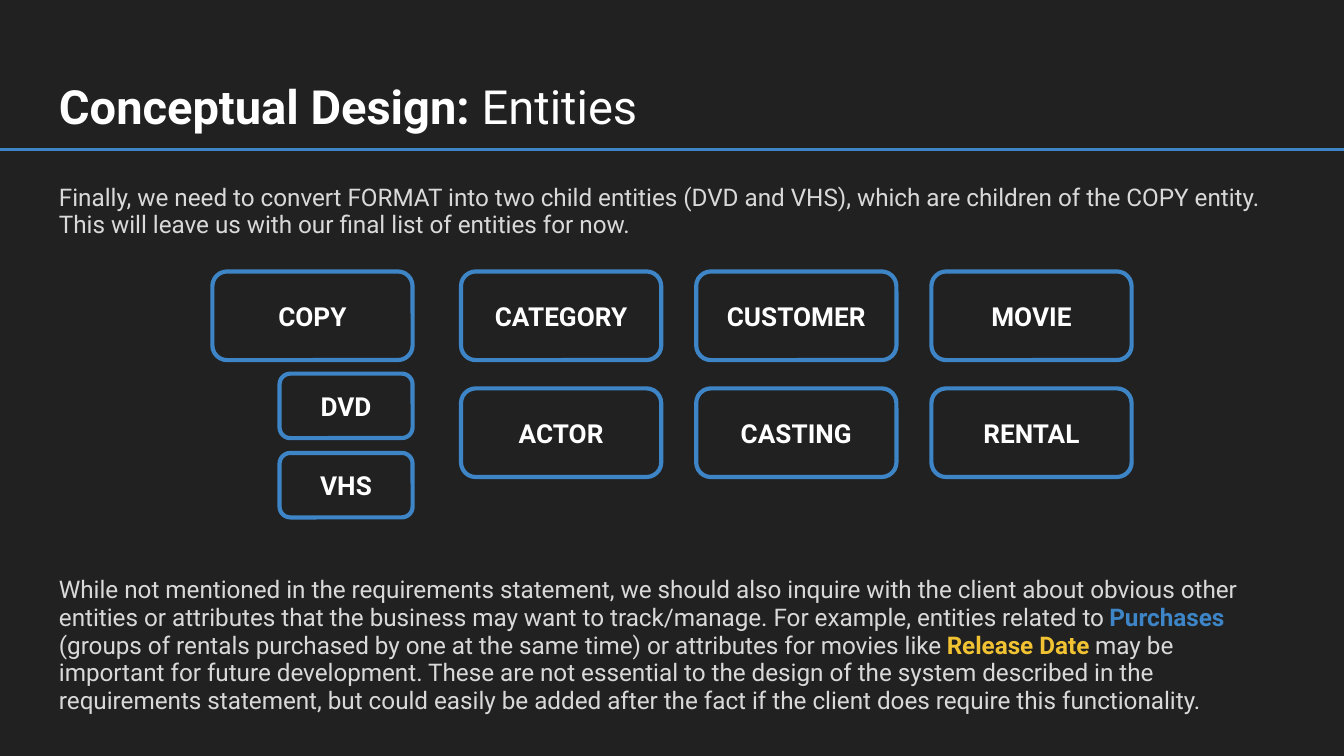
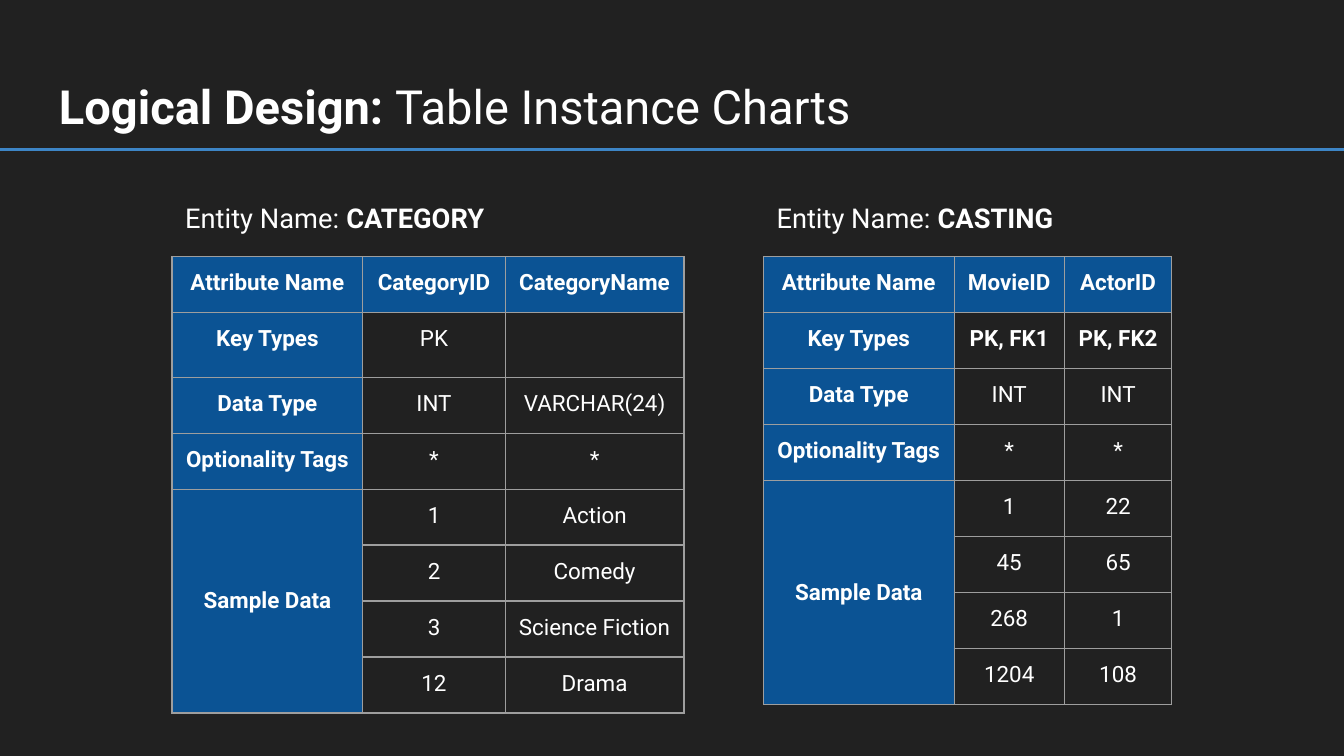
from dataclasses import dataclass
from typing import Any, NamedTuple

from lxml import etree
from pptx import Presentation
from pptx.dml.color import RGBColor
from pptx.enum import shapes, text
from pptx.oxml import ns
from pptx.util import Inches, Pt

BACKGROUND = RGBColor(0x21, 0x21, 0x21)
WHITE = RGBColor(0xFF, 0xFF, 0xFF)
BODY_GRAY = RGBColor(0xD9, 0xD9, 0xD9)
ACCENT_BLUE = RGBColor(0x3D, 0x85, 0xC6)
HEADER_BLUE = RGBColor(0x0B, 0x53, 0x94)
GOLD = RGBColor(0xF1, 0xC2, 0x32)
BORDER_GRAY = RGBColor(0x9E, 0x9E, 0x9E)

FONT = "Roboto"
SLIDE_WIDTH = 10
SLIDE_HEIGHT = SLIDE_WIDTH * 9 / 16
LEFT, CONTENT_WIDTH = 0.34, 9.31
RULE_TOP = 1.11
INSET = Inches(0.1)
ROW_HEIGHT = 5 / 12
EMPTY_ROW_HEIGHT = 0.48
SAMPLE_ROW = 4


class Run(NamedTuple):
    """A stretch of text with its own weight and, if given, colour."""

    text: str
    bold: bool = False
    color: RGBColor | None = None


class Box(NamedTuple):
    """A rectangle in inches."""

    left: float
    top: float
    width: float
    height: float


@dataclass(frozen=True)
class Entity:
    """A named entity and the place of its box."""

    name: str
    box: Box


@dataclass(frozen=True)
class InstanceChart:
    """A table instance chart with its heading."""

    entity: str
    left: float
    heading_width: float
    column_widths: tuple[float, ...]
    rows: tuple[tuple[str, ...], ...]
    bold_rows: tuple[int, ...] = (0,)


ENTITY_WIDTH, ENTITY_HEIGHT = 1.49, 0.66
ENTITY_TOP, ENTITY_ROW_STEP = 2.02, 0.87
GRID_LEFT, GRID_STEP = 3.43, 1.75
ENTITY_GRID = (("CATEGORY", "CUSTOMER", "MOVIE"), ("ACTOR", "CASTING", "RENTAL"))
CHILD_TOP, CHILD_STEP = 2.78, 0.59

ENTITIES = [
    Entity("COPY", Box(1.58, ENTITY_TOP, ENTITY_WIDTH, ENTITY_HEIGHT)),
    *(
        Entity(name, Box(2.08, CHILD_TOP + index * CHILD_STEP, 0.99, 0.48))
        for index, name in enumerate(("DVD", "VHS"))
    ),
    *(
        Entity(name, Box(GRID_LEFT + column * GRID_STEP, ENTITY_TOP + row * ENTITY_ROW_STEP,
                         ENTITY_WIDTH, ENTITY_HEIGHT))
        for row, names in enumerate(ENTITY_GRID)
        for column, name in enumerate(names)
    ),
]

INTRODUCTION = [
    Run("Finally, we need to convert FORMAT into two child entities (DVD and VHS), which are "
        "children of the COPY entity. This will leave us with our final list of entities for now."),
]
OUTLOOK = [
    Run("While not mentioned in the requirements statement, we should also inquire with the client "
        "about obvious other entities or attributes that the business may want to track/manage. "
        "For example, entities related to "),
    Run("Purchases ", True, ACCENT_BLUE),
    Run("(groups of rentals purchased by one at the same time) or attributes for movies like "),
    Run("Release Date", True, GOLD),
    Run(" may be important for future development. These are not essential to the design of the "
        "system described in the requirements statement, but could easily be added after the fact "
        "if the client does require this functionality."),
]

ROW_LABELS = ("Attribute Name", "Key Types", "Data Type", "Optionality Tags", "Sample Data")
CHARTS = [
    InstanceChart(
        "CATEGORY", 1.28, 3.8, (1.42, 1.06, 1.33),
        (("CategoryID", "CategoryName"), ("PK", ""), ("INT", "VARCHAR(24)"), ("*", "*"),
         ("1", "Action"), ("2", "Comedy"), ("3", "Science Fiction"), ("12", "Drama")),
    ),
    InstanceChart(
        "CASTING", 5.68, 3.04, (1.42, 0.82, 0.8),
        (("MovieID", "ActorID"), ("PK, FK1", "PK, FK2"), ("INT", "INT"), ("*", "*"),
         ("1", "22"), ("45", "65"), ("268", "1"), ("1204", "108")),
        bold_rows=(0, 1),
    ),
]


def place(box: Box) -> tuple[int, ...]:
    """Return a box as lengths for python-pptx."""
    return tuple(Inches(value) for value in box)


def write_text(frame: Any, runs: list[Run], *, size: float, color: RGBColor = WHITE,
               align: Any = None, line_spacing: float | None = None,
               space: float | None = None) -> None:
    """Write one formatted paragraph into a text frame."""
    paragraph = frame.paragraphs[0]
    paragraph.alignment = align
    if line_spacing is not None:
        paragraph.line_spacing = line_spacing
    if space is not None:
        paragraph.space_before = paragraph.space_after = Pt(space)
    for item in runs:
        run = paragraph.add_run()
        run.text = item.text
        run.font.name = FONT
        run.font.size = Pt(size)
        run.font.bold = item.bold
        run.font.color.rgb = item.color or color


def set_insets(target: Any) -> None:
    """Give a text frame or a cell equal margins on all sides."""
    target.margin_left = target.margin_right = INSET
    target.margin_top = target.margin_bottom = INSET


def add_text(slide: Any, box: Box, runs: list[Run], **text_format: Any) -> None:
    """Add a wrapped text box."""
    frame = slide.shapes.add_textbox(*place(box)).text_frame
    frame.word_wrap = True
    set_insets(frame)
    write_text(frame, runs, **text_format)


def add_body(slide: Any, top: float, height: float, runs: list[Run]) -> None:
    """Add a body paragraph across the content width."""
    add_text(slide, Box(LEFT, top, CONTENT_WIDTH, height), runs,
             size=13, color=BODY_GRAY, line_spacing=0.95, space=12)


def add_titled_slide(presentation: Any, topic: str, subject: str) -> Any:
    """Add a dark slide with its title and rule."""
    slide = presentation.slides.add_slide(presentation.slide_layouts[6])
    slide.background.fill.solid()
    slide.background.fill.fore_color.rgb = BACKGROUND
    add_text(slide, Box(LEFT, 0.48, CONTENT_WIDTH, 0.63),
             [Run(f"{topic}: ", True), Run(subject)], size=25.2)
    rule = slide.shapes.add_connector(
        shapes.MSO_CONNECTOR.STRAIGHT,
        Inches(0), Inches(RULE_TOP), Inches(SLIDE_WIDTH), Inches(RULE_TOP))
    rule.line.color.rgb = ACCENT_BLUE
    rule.line.width = Pt(1.5)
    etree.SubElement(rule._element.spPr, ns.qn("a:effectLst"))
    return slide


def add_entity(slide: Any, entity: Entity) -> None:
    """Draw an entity as a rounded box."""
    shape = slide.shapes.add_shape(shapes.MSO_SHAPE.ROUNDED_RECTANGLE, *place(entity.box))
    shape.shadow.inherit = False
    shape.fill.solid()
    shape.fill.fore_color.rgb = BACKGROUND
    shape.line.color.rgb = ACCENT_BLUE
    shape.line.width = Pt(2.25)
    frame = shape.text_frame
    frame.word_wrap = True
    frame.vertical_anchor = text.MSO_ANCHOR.MIDDLE
    set_insets(frame)
    write_text(frame, [Run(entity.name, True)], size=14, align=text.PP_ALIGN.CENTER)


def add_borders(cell: Any) -> None:
    """Draw thin lines on the four sides of a cell."""
    properties = cell._tc.get_or_add_tcPr()
    for index, side in enumerate(("lnL", "lnR", "lnT", "lnB")):
        line = etree.Element(ns.qn(f"a:{side}"), w=str(Pt(0.75)))
        fill = etree.SubElement(line, ns.qn("a:solidFill"))
        etree.SubElement(fill, ns.qn("a:srgbClr"), val=str(BORDER_GRAY))
        properties.insert(index, line)


def fill_cell(cell: Any, content: str, *, header: bool, bold: bool) -> None:
    """Set the fill, borders and text of a cell."""
    if header:
        cell.fill.solid()
        cell.fill.fore_color.rgb = HEADER_BLUE
    else:
        cell.fill.background()
    add_borders(cell)
    if content:
        set_insets(cell)
        write_text(cell.text_frame, [Run(content, bold)], size=12, align=text.PP_ALIGN.CENTER)


def add_instance_chart(slide: Any, chart: InstanceChart) -> None:
    """Add a heading and the table below it."""
    add_text(slide, Box(chart.left, 1.4, chart.heading_width, 0.43),
             [Run("Entity Name: "), Run(chart.entity, True)], size=14.6)
    heights = [ROW_HEIGHT if all(row) else EMPTY_ROW_HEIGHT for row in chart.rows]
    box = Box(chart.left, 1.91, sum(chart.column_widths), sum(heights))
    table = slide.shapes.add_table(len(heights), len(chart.column_widths), *place(box)).table
    table.first_row = table.horz_banding = False
    for column, width in zip(table.columns, chart.column_widths):
        column.width = Inches(width)
    for index, (values, height) in enumerate(zip(chart.rows, heights)):
        table.rows[index].height = Inches(height)
        label = ROW_LABELS[index] if index < len(ROW_LABELS) else ""
        fill_cell(table.cell(index, 0), label, header=True, bold=True)
        for column, value in enumerate(values, start=1):
            fill_cell(table.cell(index, column), value,
                      header=index == 0, bold=index in chart.bold_rows)
    sample = table.cell(SAMPLE_ROW, 0)
    sample.merge(table.cell(len(heights) - 1, 0))
    sample.vertical_anchor = text.MSO_ANCHOR.MIDDLE


def main() -> None:
    """Build and save both slides."""
    presentation = Presentation()
    presentation.slide_width = Inches(SLIDE_WIDTH)
    presentation.slide_height = Inches(SLIDE_HEIGHT)

    entities_slide = add_titled_slide(presentation, "Conceptual Design", "Entities")
    add_body(entities_slide, 1.27, 0.7, INTRODUCTION)
    for entity in ENTITIES:
        add_entity(entities_slide, entity)
    add_body(entities_slide, 4.19, 1.27, OUTLOOK)

    charts_slide = add_titled_slide(presentation, "Logical Design", "Table Instance Charts")
    for chart in CHARTS:
        add_instance_chart(charts_slide, chart)

    presentation.save("out.pptx")


if __name__ == "__main__":
    main()
